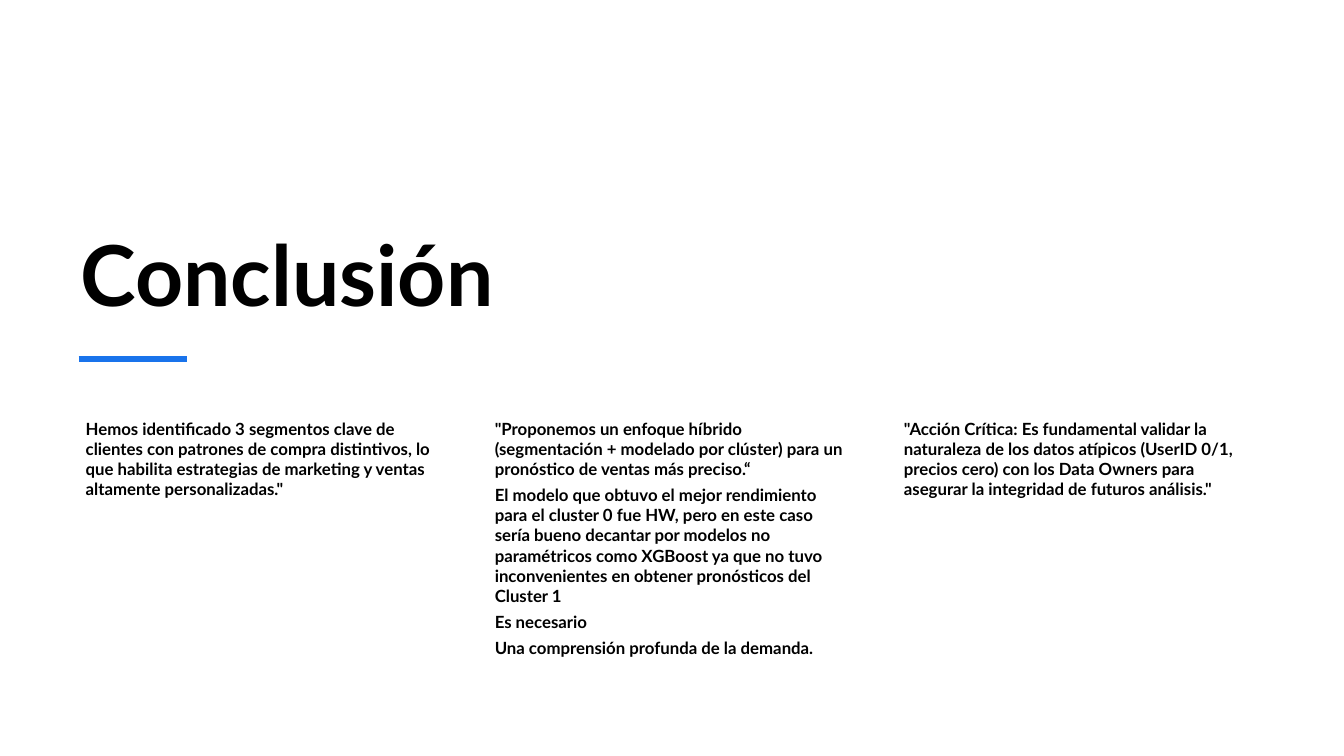
"""Build the conclusion slide: a title, an accent line and three columns of text."""
from lxml.etree import SubElement
from pptx import Presentation
from pptx.dml.color import RGBColor
from pptx.enum.shapes import MSO_CONNECTOR
from pptx.enum.text import MSO_ANCHOR, MSO_AUTO_SIZE, PP_ALIGN
from pptx.oxml.ns import qn
from pptx.util import Cm, Pt

BLACK = RGBColor(0x00, 0x00, 0x00)
BLUE = RGBColor(0x19, 0x73, 0xEB)
LEFT = 1.78
COLUMN_STEP = 10.31
COLUMNS = [
    ['Hemos identificado 3 segmentos clave de clientes con patrones de compra distintivos, '
     'lo que habilita estrategias de marketing y ventas altamente personalizadas."'],
    ['"Proponemos un enfoque híbrido (segmentación + modelado por clúster) para un '
     'pronóstico de ventas más preciso.“',
     'El modelo que obtuvo el mejor rendimiento para el cluster 0 fue HW, pero en este caso '
     'sería bueno decantar por modelos no paramétricos como XGBoost ya que no tuvo '
     'inconvenientes en obtener pronósticos del Cluster 1',
     'Es necesario',
     'Una comprensión profunda de la demanda.'],
    ['"Acción Crítica: Es fundamental validar la naturaleza de los datos atípicos '
     '(UserID 0/1, precios cero) con los Data Owners para asegurar la integridad de '
     'futuros análisis."'],
]


def set_all(obj, values):
    for name, value in values.items():
        setattr(obj, name, value)


def add_run(p, text, size):
    r = p.add_run()
    r.text = text
    set_all(r.font, {"name": "Lato", "size": Pt(size), "bold": True})
    r.font.color.rgb = BLACK


prs = Presentation()
set_all(prs, {"slide_width": Cm(33.87), "slide_height": Cm(19.05)})
s = prs.slides.add_slide(prs.slide_layouts[5])

title = s.shapes.title
set_all(title, {"left": Cm(LEFT), "top": Cm(4.37), "width": Cm(22.68), "height": Cm(3.91)})
tf = title.text_frame
set_all(tf, {"vertical_anchor": MSO_ANCHOR.BOTTOM, "auto_size": MSO_AUTO_SIZE.NONE,
             "word_wrap": True})
p = tf.paragraphs[0]
p.alignment = PP_ALIGN.LEFT
add_run(p, "Conclusión", 60)

for i, paragraphs in enumerate(COLUMNS):
    sp = s.shapes.add_textbox(Cm(LEFT + i * COLUMN_STEP), Cm(10.49), Cm(9.37), Cm(3.76))
    tf = sp.text_frame
    set_all(tf, {"word_wrap": True, "margin_left": Cm(0.38), "margin_top": Cm(0.05),
                 "margin_right": Cm(0.05), "margin_bottom": Cm(0.05)})
    for j, text in enumerate(paragraphs):
        p = tf.add_paragraph() if j else tf.paragraphs[0]
        p.space_after = Pt(4.3)
        add_run(p, text, 12)

accent = s.shapes.add_connector(MSO_CONNECTOR.STRAIGHT, Cm(1.98), Cm(9.04), Cm(4.7), Cm(9.04))
accent.line.color.rgb = BLUE
accent.line.width = Pt(4.5)
SubElement(accent._element.spPr, qn("a:effectLst"))

prs.save("out.pptx")
